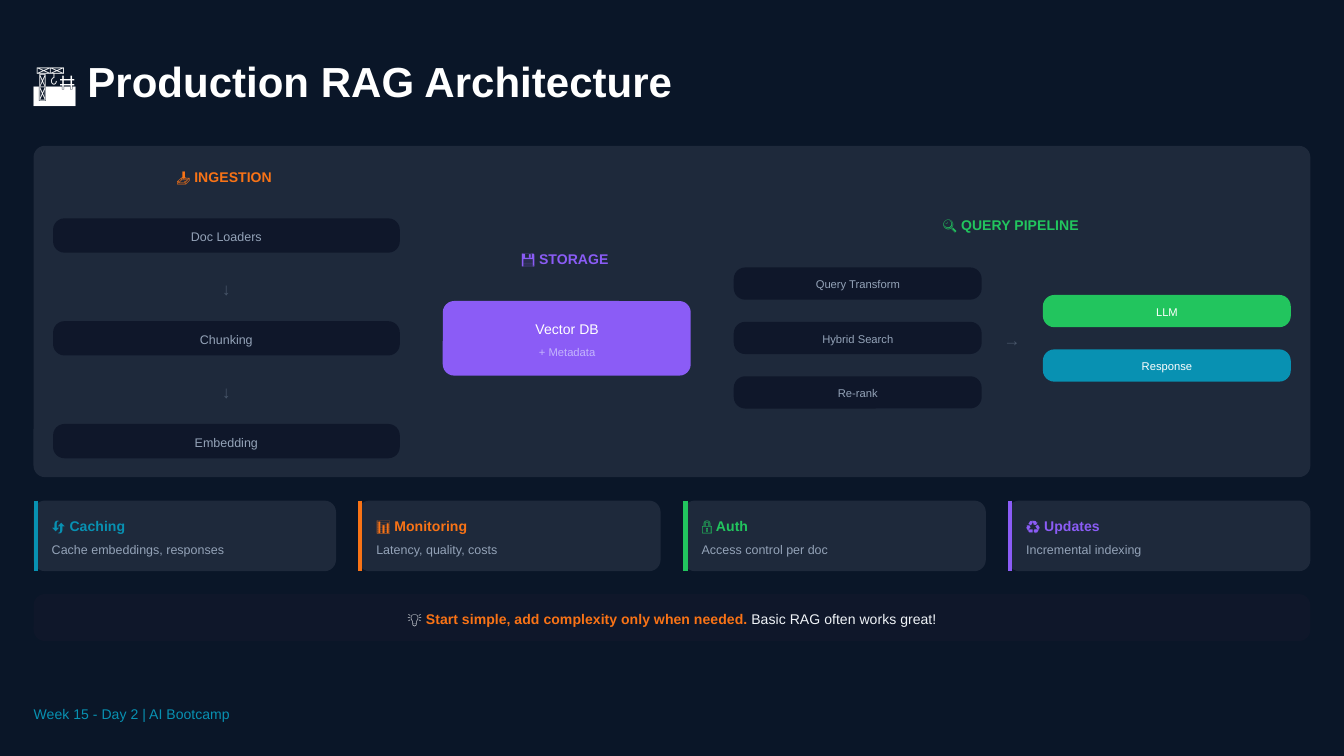
from dataclasses import dataclass
from typing import NamedTuple

from pptx import Presentation
from pptx.dml.color import RGBColor
from pptx.enum.shapes import MSO_CONNECTOR, MSO_SHAPE
from pptx.enum.text import MSO_ANCHOR, MSO_AUTO_SIZE, PP_ALIGN
from pptx.oxml.ns import qn
from pptx.slide import Slide
from pptx.text.text import TextFrame
from pptx.util import Emu, Pt

PX = 4572
CORNER_RADIUS = 17
FONT = "Arial"
HEADING_SIZE, NOTE_SIZE, SMALL_SIZE, ARROW_SIZE = 7.5, 6.75, 6, 9
COLORS = {
    "background": "0A1628",
    "panel": "1E293B",
    "step": "0F172A",
    "white": "FFFFFF",
    "pale": "F0F4F8",
    "muted": "94A3B8",
    "arrow": "475569",
    "lavender": "C4B5FD",
    "orange": "F97316",
    "purple": "8B5CF6",
    "green": "22C55E",
    "cyan": "0891B2",
}


class Box(NamedTuple):
    left: int
    top: int
    width: int
    height: int

    def emu(self) -> list[Emu]:
        return [Emu(length * PX) for length in self]


@dataclass(frozen=True)
class Step:
    label: str
    box: Box
    fill: str = "step"
    color: str = "muted"
    size: float = SMALL_SIZE


@dataclass(frozen=True)
class Concern:
    heading: str
    detail: str
    accent: str


def rgb(name: str) -> RGBColor:
    return RGBColor.from_string(COLORS[name])


def write(frame: TextFrame, text: str, *, size: float, color: str, bold: bool = False,
          align: PP_ALIGN = PP_ALIGN.LEFT, leading: float = 1.4) -> None:
    frame.word_wrap = True
    frame.auto_size = MSO_AUTO_SIZE.NONE
    frame.vertical_anchor = MSO_ANCHOR.TOP
    frame.margin_left = frame.margin_right = frame.margin_top = frame.margin_bottom = 0
    paragraph = frame.paragraphs[0]
    paragraph.alignment = align
    paragraph.line_spacing = Pt(size * leading)
    run = paragraph.add_run()
    run.text = text
    run.font.name = FONT
    run.font.size = Pt(size)
    run.font.bold = bold
    run.font.color.rgb = rgb(color)


def text_frame(slide: Slide, box: Box) -> TextFrame:
    return slide.shapes.add_textbox(*box.emu()).text_frame


def draw_panel(slide: Slide, box: Box, fill: str) -> None:
    panel = slide.shapes.add_shape(MSO_SHAPE.ROUNDED_RECTANGLE, *box.emu())
    panel.adjustments[0] = CORNER_RADIUS / min(box.width, box.height)
    panel.shadow.inherit = False
    panel.fill.solid()
    panel.fill.fore_color.rgb = rgb(fill)
    panel.line.fill.background()


def draw_step(slide: Slide, step: Step) -> None:
    left, top, width, height = step.box
    draw_panel(slide, step.box, step.fill)
    label_box = Box(left + 8, top + 12, width - 16, height - 25)
    write(text_frame(slide, label_box), step.label,
          size=step.size, color=step.color, align=PP_ALIGN.CENTER)


def draw_accent(slide: Slide, left: int, top: int, height: int, color: str) -> None:
    accent = slide.shapes.add_connector(
        MSO_CONNECTOR.STRAIGHT, *Box(left, top, left, top + height).emu())
    accent.line.color.rgb = rgb(color)
    accent.line.width = Pt(2.25)
    properties = accent._element.spPr
    properties.append(properties.makeelement(qn("a:effectLst"), {}))


def draw_concern(slide: Slide, concern: Concern, box: Box) -> None:
    left, top, width, height = box
    draw_panel(slide, box, "panel")
    draw_accent(slide, left + 3, top, height, concern.accent)
    write(text_frame(slide, Box(left + 27, top + 21, width - 40, 30)), concern.heading,
          size=HEADING_SIZE, color=concern.accent, bold=True)
    write(text_frame(slide, Box(left + 27, top + 58, width - 40, 26)), concern.detail,
          size=NOTE_SIZE, color="muted")


def draw_architecture(slide: Slide) -> None:
    draw_panel(slide, Box(50, 217, 1900, 493), "panel")
    for heading, box, color in (
        ("📥 INGESTION", Box(263, 246, 150, 30), "orange"),
        ("💾 STORAGE", Box(776, 369, 138, 30), "purple"),
        ("🔍 QUERY PIPELINE", Box(1403, 318, 210, 30), "green"),
    ):
        write(text_frame(slide, box), heading, size=HEADING_SIZE, color=color, bold=True)

    ingestion = [Step(label, Box(79, 325 + 153 * row, 516, 51), size=NOTE_SIZE)
                 for row, label in enumerate(("Doc Loaders", "Chunking", "Embedding"))]
    query = [Step(label, Box(1092, 398 + 81 * row, 369, 48))
             for row, label in enumerate(("Query Transform", "Hybrid Search", "Re-rank"))]
    answer = [Step(label, Box(1552, 439 + 81 * row, 369, 48), fill, "white")
              for row, (label, fill) in enumerate((("LLM", "green"), ("Response", "cyan")))]
    for step in ingestion + query + answer:
        draw_step(slide, step)

    down_arrows = [("↓", Box(74, step.box.top + 85, 526, 34)) for step in ingestion[:-1]]
    for arrow, box in down_arrows + [("→", Box(1493, 486, 26, 34))]:
        write(text_frame(slide, box), arrow,
              size=ARROW_SIZE, color="arrow", align=PP_ALIGN.CENTER)

    draw_panel(slide, Box(659, 448, 369, 111), "purple")
    write(text_frame(slide, Box(682, 473, 324, 30)), "Vector DB",
          size=HEADING_SIZE, color="white", align=PP_ALIGN.CENTER)
    write(text_frame(slide, Box(682, 510, 324, 24)), "+ Metadata",
          size=SMALL_SIZE, color="lavender", align=PP_ALIGN.CENTER)


def draw_concerns(slide: Slide) -> None:
    concerns = (
        Concern("🔄 Caching", "Cache embeddings, responses", "cyan"),
        Concern("📊 Monitoring", "Latency, quality, costs", "orange"),
        Concern("🔒 Auth", "Access control per doc", "green"),
        Concern("♻️ Updates", "Incremental indexing", "purple"),
    )
    width = 450
    pitch = (1900 - width) / (len(concerns) - 1)
    for column, concern in enumerate(concerns):
        draw_concern(slide, concern, Box(round(50 + column * pitch), 745, width, 105))


def draw_tip(slide: Slide) -> None:
    draw_panel(slide, Box(50, 884, 1900, 70), "step")
    tip = text_frame(slide, Box(52, 905, 1896, 30))
    for text, color, bold in (
        ("💡 ", "pale", False),
        ("Start simple, add complexity only when needed.", "orange", True),
        (" Basic RAG often works great!", "pale", False),
    ):
        write(tip, text, size=HEADING_SIZE, color=color, bold=bold, align=PP_ALIGN.CENTER)


def main() -> None:
    presentation = Presentation()
    presentation.slide_width = Emu(2000 * PX)
    presentation.slide_height = Emu(1125 * PX)
    slide = presentation.slides.add_slide(presentation.slide_layouts[5])
    slide.background.fill.solid()
    slide.background.fill.fore_color.rgb = rgb("background")

    title = slide.shapes.title
    title.left, title.top, title.width, title.height = Box(50, 95, 986, 62).emu()
    write(title.text_frame, "🏗️ Production RAG Architecture",
          size=22.5, color="white", bold=True, leading=1)

    draw_architecture(slide)
    draw_concerns(slide)
    draw_tip(slide)
    write(text_frame(slide, Box(50, 1046, 296, 30)), "Week 15 - Day 2 | AI Bootcamp",
          size=HEADING_SIZE, color="cyan")
    presentation.save("out.pptx")


if __name__ == "__main__":
    main()
